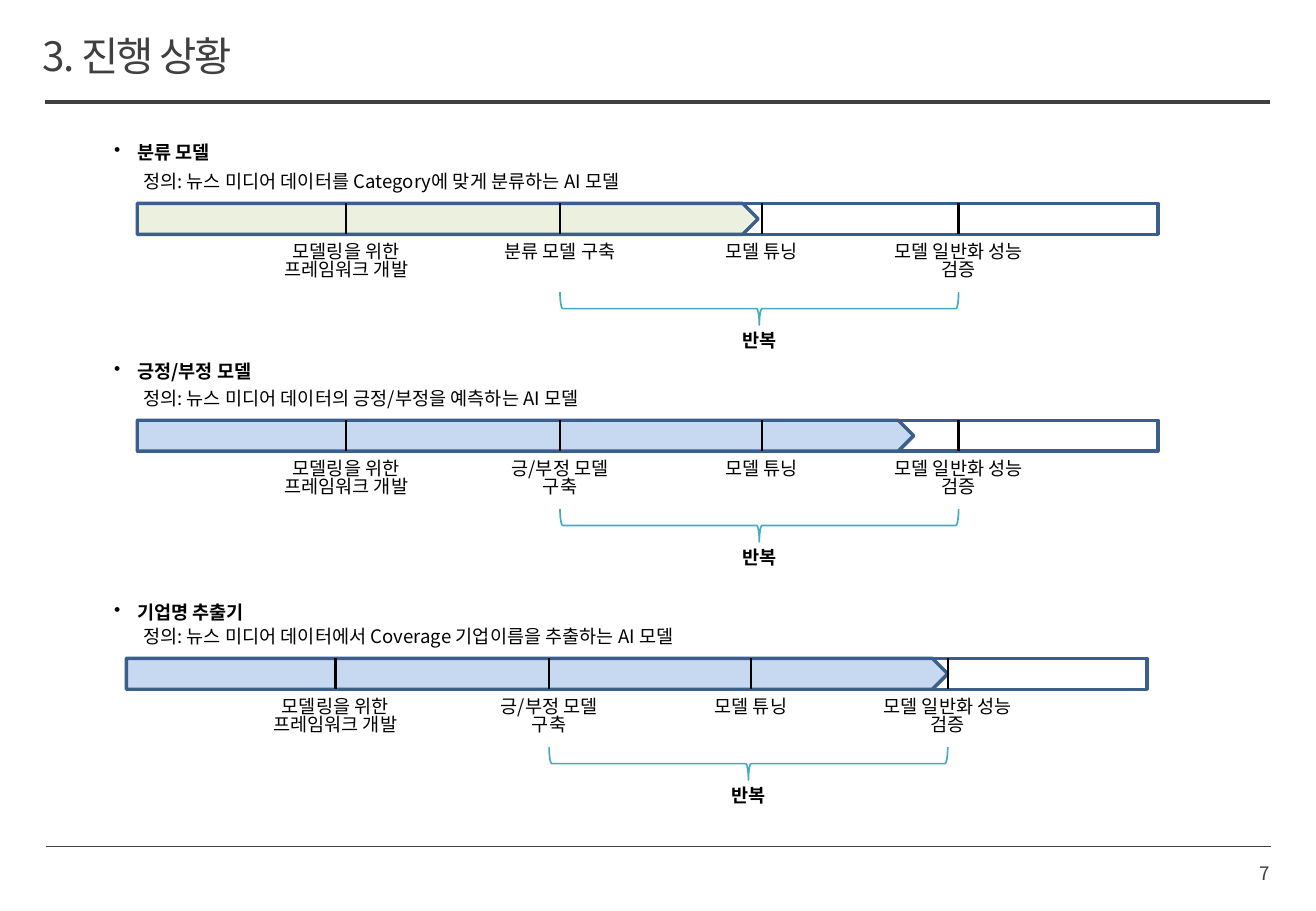
from pptx import Presentation
from pptx.dml.color import RGBColor
from pptx.enum.shapes import MSO_CONNECTOR, MSO_SHAPE
from pptx.enum.text import MSO_ANCHOR, MSO_AUTO_SIZE, PP_ALIGN
from pptx.util import Inches, Pt
from pptx.oxml.ns import qn
from lxml import etree

FONT = "Noto Sans CJK KR"
GRAY = RGBColor(0x40, 0x40, 0x40)
BLACK = RGBColor(0x00, 0x00, 0x00)
NAVY = RGBColor(0x3A, 0x5F, 0x8C)
TEAL = RGBColor(0x46, 0xAA, 0xC5)
GREEN = RGBColor(0xEB, 0xF1, 0xDE)
BLUE = RGBColor(0xC6, 0xD9, 0xF1)
STRAIGHT = MSO_CONNECTOR.STRAIGHT
RECT, PENTAGON, BRACE = MSO_SHAPE.RECTANGLE, MSO_SHAPE.PENTAGON, MSO_SHAPE.LEFT_BRACE
TOP, MIDDLE = MSO_ANCHOR.TOP, MSO_ANCHOR.MIDDLE
FIT = MSO_AUTO_SIZE.SHAPE_TO_FIT_TEXT
LEFT, CENTER, RIGHT = PP_ALIGN.LEFT, PP_ALIGN.CENTER, PP_ALIGN.RIGHT

TRACK_W, TRACK_H = 77.56, 3.4
TICKS = (15.88, 32.13, 47.46, 62.42)
LABEL_W = 12.47
LINE_H = {1: 3.87, 2: 6.27}

FRAMEWORK = ("모델링을 위한 프레임워크 개발", 2)
SENTIMENT = ("긍/부정 모델 구축", 2)
TUNING = ("모델 튜닝", 1)
VALIDATION = ("모델 일반화 성능 검증", 2)

MODELS = (
    ("분류 모델", "정의: 뉴스 미디어 데이터를 Category에 맞게 분류하는 AI 모델",
     10.43, 22.33, 15.2, 47.18, GREEN, ("분류 모델 구축", 1)),
    ("긍정/부정 모델", "정의: 뉴스 미디어 데이터의 긍정/부정을 예측하는 AI 모델",
     10.43, 46.13, 39.33, 59, BLUE, SENTIMENT),
    ("기업명 추출기", "정의: 뉴스 미디어 데이터에서 Coverage 기업이름을 추출하는 AI 모델",
     9.6, 72.27, 65.73, 62.42, BLUE, SENTIMENT),
)


class Board:
    """Draws styled elements on one slide, with lengths in hundredths of its size."""

    def __init__(self, prs):
        self.col = prs.slide_width / 100
        self.row = prs.slide_height / 100
        self.s = prs.slides.add_slide(prs.slide_layouts[6])

    def box(self, x, y, w, h):
        return [int(v) for v in (x * self.col, y * self.row, w * self.col, h * self.row)]

    def line(self, x1, y1, x2, y2, color, width):
        c = self.s.shapes.add_connector(STRAIGHT, *self.box(x1, y1, x2, y2))
        c.line.color.rgb = color
        c.line.width = Pt(width)
        etree.SubElement(c._element.spPr, qn("a:effectLst"))

    def shape(self, kind, x, y, w, h, color, width, fill=None):
        sp = self.s.shapes.add_shape(kind, *self.box(x, y, w, h))
        sp.shadow.inherit = False
        sp.line.color.rgb = color
        sp.line.width = Pt(width)
        if fill is None:
            sp.fill.background()
        else:
            sp.fill.solid()
            sp.fill.fore_color.rgb = fill
        return sp

    def brace(self, x, y, span, depth):
        sp = self.shape(BRACE, x, y, span, depth, TEAL, 1)
        cx, cy = sp.left + sp.width // 2, sp.top + sp.height // 2
        sp.width, sp.height = sp.height, sp.width
        sp.left, sp.top = cx - sp.width // 2, cy - sp.height // 2
        sp.rotation = 270

    def text(self, text, x, y, w, h=LINE_H[1], size=11, color=BLACK, bold=False,
             align=LEFT, anchor=TOP, inset=0.1, margin=0.05, spacing=0.82):
        sp = self.s.shapes.add_textbox(*self.box(x, y, w, h))
        tf = sp.text_frame
        tf.word_wrap = True
        tf.vertical_anchor = anchor
        if anchor == TOP:
            tf.auto_size = FIT
        tf.margin_left = tf.margin_right = Inches(inset)
        tf.margin_top = tf.margin_bottom = Inches(margin)
        p = tf.paragraphs[0]
        p.alignment = align
        p.line_spacing = spacing
        p.font.size, p.font.name, p.font.bold = Pt(size), FONT, bold
        p.font.color.rgb = color
        r = p.add_run()
        r.text = text
        etree.SubElement(r._r.get_or_add_rPr(), qn("a:ea")).set("typeface", FONT)
        return p

    def heading(self, text, x, y, w):
        pPr = self.text(text, x, y, w, bold=True)._p.get_or_add_pPr()
        pPr.set("marL", str(Inches(0.19)))
        pPr.set("indent", str(-Inches(0.19)))
        bullet = etree.Element(qn("a:buChar"))
        bullet.set("char", "•")
        pPr.find(qn("a:defRPr")).addprevious(bullet)

    def title(self, text, x, y, w, h):
        p = self.text(text, x, y, w, h, 24, GRAY, inset=0, margin=0)
        p.runs[0]._r.get_or_add_rPr().set("spc", "-110")

    def timeline(self, name, definition, x, y, heading_y, progress, fill, build):
        self.heading(name, 7.76, heading_y, 86.52)
        self.text(definition, 9.97, y - 3.87, 86.52)
        self.shape(RECT, x, y, TRACK_W, TRACK_H, NAVY, 2)
        self.shape(PENTAGON, x, y, progress, TRACK_H, NAVY, 2, fill)
        for tick, (label, lines) in zip(TICKS, (FRAMEWORK, build, TUNING, VALIDATION)):
            self.line(x + tick, y, x + tick, y + TRACK_H, BLACK, 1.5)
            self.text(label, x + tick - LABEL_W / 2, y + 3.8, LABEL_W, LINE_H[lines],
                      align=CENTER, inset=0.135)
        start, end = TICKS[1], TICKS[3]
        self.brace(x + start, y + 9.75, end - start, 3.6)
        self.text("반복", x + (start + end - LABEL_W) / 2, y + 13.53, LABEL_W,
                  bold=True, align=CENTER)


def main():
    prs = Presentation()
    prs.slide_width, prs.slide_height = Inches(10.83), Inches(7.5)
    board = Board(prs)
    board.line(3.5, 92.93, 96.58, 92.93, GRAY, 0.5)
    board.line(3.42, 11.2, 96.49, 11.2, GRAY, 2)
    board.text("7", 73.13, 93.2, 23.36, 5.33, color=GRAY, align=RIGHT,
               anchor=MIDDLE, inset=0, margin=0, spacing=1)
    board.title("3. 진행 상황", 3.23, 4.3, 64.17, 5.33)
    for model in MODELS:
        board.timeline(*model)
    prs.save("out.pptx")


if __name__ == "__main__":
    main()
